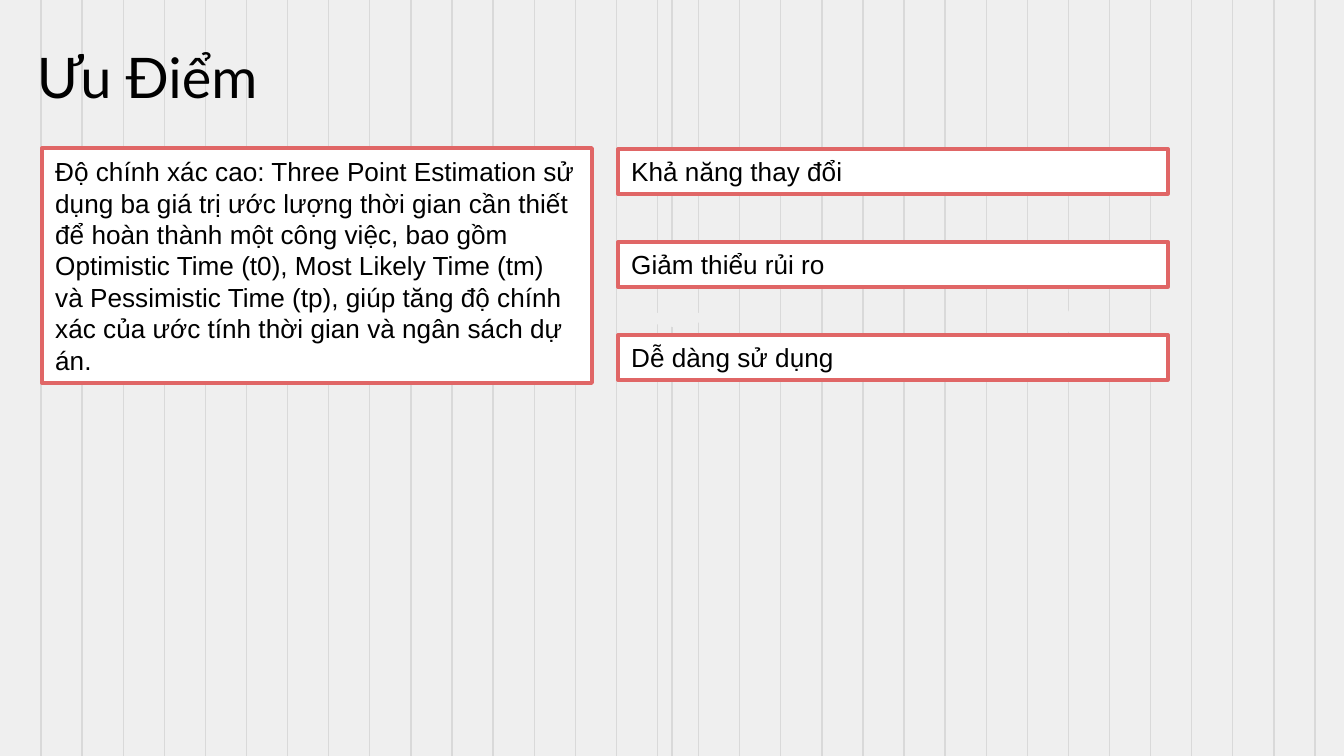
"""Builds the "Ưu Điểm" slide: a ruled background, two icons and four boxed advantages."""
from lxml import etree
from pptx import Presentation
from pptx.dml.color import RGBColor
from pptx.enum.shapes import MSO_CONNECTOR, MSO_SHAPE
from pptx.enum.text import MSO_ANCHOR, PP_ALIGN
from pptx.oxml.ns import qn
from pptx.util import Pt

PX = 9144000 / 1344
WIDTH, HEIGHT = 1344, 756
STRAIGHT = MSO_CONNECTOR.STRAIGHT
RECTANGLE = MSO_SHAPE.RECTANGLE
TOP, MIDDLE = MSO_ANCHOR.TOP, MSO_ANCHOR.MIDDLE
LEFT = PP_ALIGN.LEFT
GRAY = RGBColor(0xEF, 0xEF, 0xEF)
RULE = RGBColor(0xD9, 0xD9, 0xD9)
RED = RGBColor(0xE0, 0x66, 0x66)
WHITE = RGBColor(0xFF, 0xFF, 0xFF)
BLACK = RGBColor(0x00, 0x00, 0x00)

RULE_COUNT, RULE_SPAN = 32, 1315
TITLE_MARGIN = 13
BOX_WIDTH = 550
DETAIL_LEFT, DETAIL_TOP, DETAIL_HEIGHT = 42, 148, 235
ROW_LEFT, ROW_TOP, ROW_HEIGHT, ROW_STEP = 618, 149, 45, 93

BOOK_CENTER, PEN_CENTER = 673, 1080
BOOK_COVER = [(0, 261), (41, 261), (41, 320), (0, 327)]
BOOK_PAGE = [(2, 265), (30, 265), (30, 313), (2, 313)]
PEN_NIB = [(0, 251), (26, 290), (14, 308), (17, 320), (10, 335)]
PEN_HOLLOW = [(2, 257), (22, 290), (11, 312), (2, 312)]

DETAIL = (
    "Độ chính xác cao: Three Point Estimation sử dụng ba giá trị ước lượng thời gian cần thiết "
    "để hoàn thành một công việc, bao gồm Optimistic Time (t0), Most Likely Time (tm) "
    "và Pessimistic Time (tp), giúp tăng độ chính xác của ước tính thời gian và ngân sách dự án."
)
ADVANTAGES = ["Khả năng thay đổi", "Giảm thiểu rủi ro", "Dễ dàng sử dụng"]


def px(*lengths):
    return [round(length * PX) for length in lengths]


def write(box, text, font, size, anchor):
    frame = box.text_frame
    frame.word_wrap = True
    frame.vertical_anchor = anchor
    frame.text = text
    para = frame.paragraphs[0]
    para.alignment = LEFT
    span = para.runs[0]
    span.font.name = font
    span.font.size = Pt(size)
    span.font.color.rgb = BLACK


deck = Presentation()
deck.slide_width, deck.slide_height = px(WIDTH, HEIGHT)
page = deck.slides.add_slide(deck.slide_layouts[6])
page.background.fill.solid()
page.background.fill.fore_color.rgb = GRAY

columns = [number * RULE_SPAN / RULE_COUNT for number in range(1, RULE_COUNT + 1)]
for x in columns + [WIDTH / 2]:
    rule = page.shapes.add_connector(STRAIGHT, *px(x, 0, x, HEIGHT))
    rule.line.color.rgb = RULE
    rule.line.width = Pt(0.75)
    etree.SubElement(rule._element.spPr, qn("a:effectLst"))

title = page.shapes.add_textbox(*px(24, 30, 523, 85))
write(title, "Ưu Điểm", "Lato", 30, TOP)
title_frame = title.text_frame
title_frame.margin_left, title_frame.margin_top = px(TITLE_MARGIN, TITLE_MARGIN)
title_frame.margin_right, title_frame.margin_bottom = px(TITLE_MARGIN, TITLE_MARGIN)

icons = [(BOOK_CENTER, BOOK_COVER, BOOK_PAGE), (PEN_CENTER, PEN_NIB, PEN_HOLLOW)]
for center, outline, hole in icons:
    builder = page.shapes.build_freeform(center, outline[0][1], scale=PX)
    for half in (outline, hole):
        right_side = [(center + offset, y) for offset, y in half]
        left_side = [(center - offset, y) for offset, y in half]
        if half is outline:
            contours = [right_side + left_side[::-1]]
        else:
            contours = [right_side, left_side]
        for contour in contours:
            builder.move_to(*contour[0])
            builder.add_line_segments(contour[1:])
    icon = builder.convert_to_shape()
    icon.shadow.inherit = False
    icon.fill.solid()
    icon.fill.fore_color.rgb = GRAY
    icon.line.fill.background()

boxes = [(DETAIL, DETAIL_LEFT, DETAIL_TOP, DETAIL_HEIGHT)]
for row, advantage in enumerate(ADVANTAGES):
    boxes.append((advantage, ROW_LEFT, ROW_TOP + ROW_STEP * row, ROW_HEIGHT))
for text, x, y, height in boxes:
    box = page.shapes.add_shape(RECTANGLE, *px(x, y, BOX_WIDTH, height))
    box.shadow.inherit = False
    box.fill.solid()
    box.fill.fore_color.rgb = WHITE
    box.line.color.rgb = RED
    box.line.width = Pt(2)
    write(box, text, "Arial", 14, MIDDLE)

deck.save("out.pptx")
